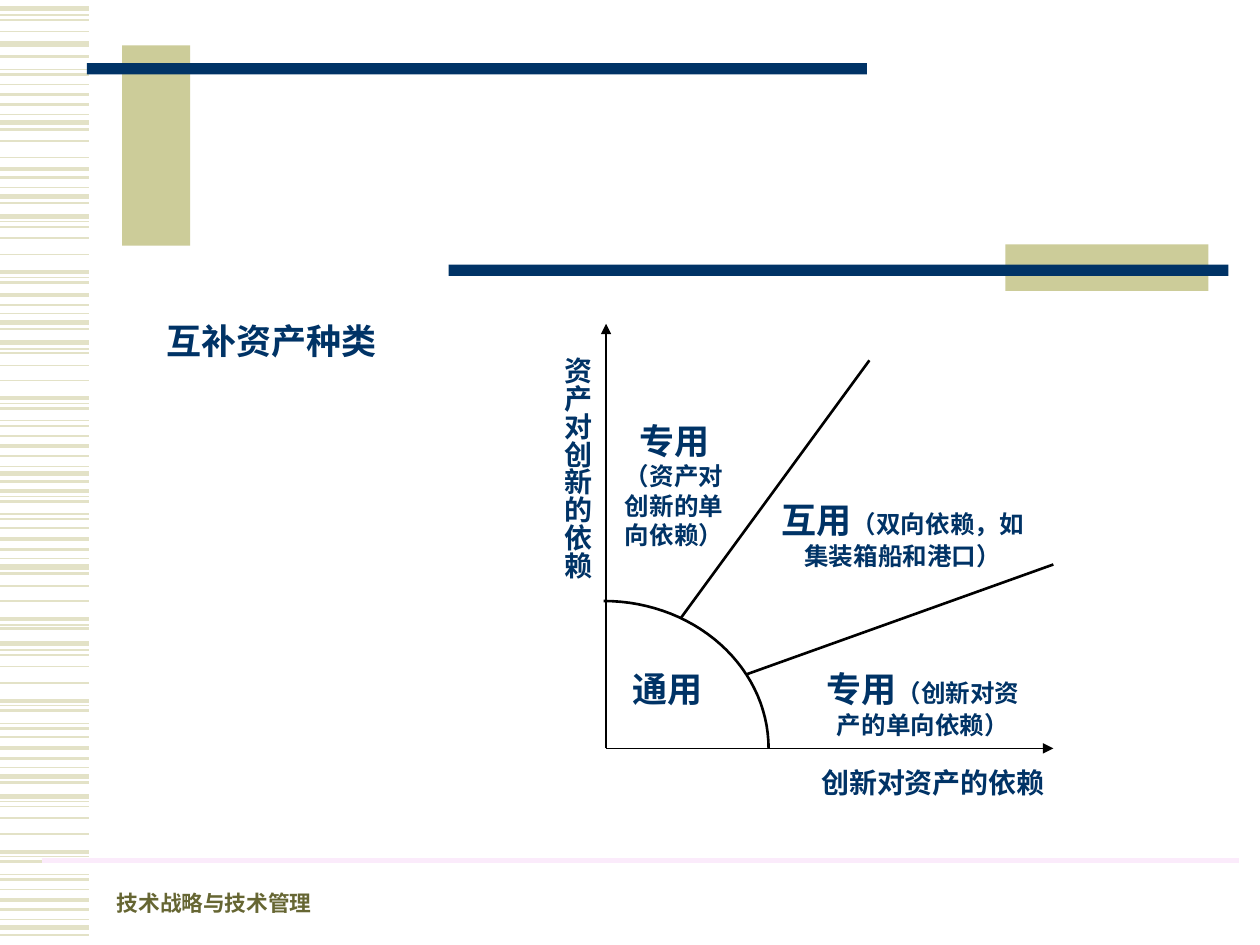
from dataclasses import dataclass
from math import cos, pi, sin

from lxml.etree import SubElement
from pptx import Presentation
from pptx.dml.color import RGBColor
from pptx.enum.shapes import MSO_CONNECTOR, MSO_SHAPE
from pptx.enum.text import MSO_ANCHOR, PP_ALIGN
from pptx.oxml.ns import qn
from pptx.util import Inches, Pt


@dataclass(frozen=True)
class Theme:
    font: str = "Times New Roman"
    navy: str = "003366"
    olive: str = "666633"
    khaki: str = "CCCC99"
    stripe: str = "E3E2C7"
    pink: str = "FBEBFB"
    black: str = "000000"
    white: str = "FFFFFF"
    heading: float = 20
    axis: float = 16
    detail: float = 14
    footer: float = 12.4


@dataclass(frozen=True)
class Box:
    left: float
    top: float
    width: float
    height: float

    def inner(self, left, top, width, height):
        return Box(self.left + left, self.top + top, width, height)

    def point(self, x, y):
        return self.left + x, self.top + y

    def lengths(self):
        return [Inches(v) for v in (self.left, self.top, self.width, self.height)]


THEME = Theme()
STRIPES = {
    0.75: (0.12, 0.55, 0.91, 1.49, 1.76, 2.2, 2.49, 2.77, 3.2, 3.34, 3.7, 3.94, 4.08,
           4.43, 4.96, 5.16, 5.6, 5.74, 6.09, 6.36, 6.8, 6.94, 7.3),
    1: (0.16, 0.25, 0.67, 1.12, 1.25, 1.8, 1.89, 2.02, 2.8, 2.9, 3.02, 3.46, 4.19,
        4.65, 4.77, 5.2, 5.29, 5.42, 5.85, 6.4, 6.49, 6.62, 7.06),
    1.5: (0.45, 0.59, 0.83, 1.03, 1.41, 1.61, 2.24, 2.42, 2.61, 3.24, 3.38, 3.62, 3.82,
          3.98, 4.12, 4.36, 4.55, 4.99, 5.64, 5.78, 6.02, 6.21, 6.84, 6.98, 7.22, 7.42),
    2.25: (0.75, 1.34, 2.16, 2.34, 3.16, 3.54, 3.9, 4.28, 4.91, 5.56, 5.94, 6.76, 7.14),
    3: (0.07, 0.35, 0.97, 1.56, 1.72, 2.56, 2.72, 3.76, 4.5, 5.11, 6.16, 6.32, 7.36),
}


def color(value):
    return RGBColor.from_string(value)


def add_line(page, start, end, tint, weight, arrow=False):
    ends = [Inches(v) for v in (*start, *end)]
    line = page.shapes.add_connector(MSO_CONNECTOR.STRAIGHT, *ends)
    line.line.color.rgb = color(tint)
    line.line.width = Pt(weight)
    if arrow:
        SubElement(line.line._get_or_add_ln(), qn("a:tailEnd"), type="triangle")
    SubElement(line._element.spPr, qn("a:effectLst"))


def add_block(page, box, tint, outlined=False):
    block = page.shapes.add_shape(MSO_SHAPE.RECTANGLE, *box.lengths())
    block.shadow.inherit = False
    block.fill.solid()
    block.fill.fore_color.rgb = color(tint)
    if outlined:
        block.line.color.rgb = color(tint)
        block.line.width = Pt(0.75)
    else:
        block.line.fill.background()
    return block


def write(shape, spans, tint=THEME.navy, align=PP_ALIGN.LEFT, before=0,
          anchor=MSO_ANCHOR.TOP):
    frame = shape.text_frame
    frame.word_wrap = True
    frame.vertical_anchor = anchor
    para = frame.paragraphs[0]
    para.alignment = align
    para.space_before = Pt(before)
    for text, size in spans:
        span = para.add_run()
        span.text = text
        span.font.name = THEME.font
        span.font.size = Pt(size)
        span.font.bold = True
        span.font.color.rgb = color(tint)


def add_text(page, box, spans, **style):
    write(page.shapes.add_textbox(*box.lengths()), spans, **style)


def add_stripes(page, box):
    for weight, heights in STRIPES.items():
        for y in heights:
            add_line(page, box.point(0, y), box.point(box.width, y), THEME.stripe, weight)


def add_header(page, box):
    add_block(page, box.inner(0.28, 0, 0.54, 1.59), THEME.khaki)
    add_block(page, box.inner(0, 0.14, 6.19, 0.09), THEME.navy)
    add_block(page, box.inner(7.29, 1.58, 1.61, 0.37), THEME.khaki)
    add_block(page, box.inner(2.87, 1.74, 6.19, 0.09), THEME.navy)


def add_footer(page, box):
    add_line(page, box.point(0, 0), box.point(box.width, 0), THEME.pink, 3)
    add_text(page, box.inner(0.5, 0.15, 2.6, 0.34), [("技术战略与技术管理", THEME.footer)],
             tint=THEME.olive, anchor=MSO_ANCHOR.BOTTOM)


def add_axis_label(page, box, text, vertical=False):
    label = add_block(page, box, THEME.white, outlined=True)
    write(label, [(text, THEME.axis)], align=PP_ALIGN.JUSTIFY)
    if vertical:
        frame = label.text_frame
        frame.margin_left = frame.margin_right = Inches(0.05)
        frame.margin_top = frame.margin_bottom = Inches(0.1)
        frame._txBody.bodyPr.set("vert", "eaVert")


def add_quarter_arc(page, box, steps=30):
    points = [(Inches(box.left + box.width * sin(step * pi / 2 / steps)),
               Inches(box.top + box.height * (1 - cos(step * pi / 2 / steps))))
              for step in range(steps + 1)]
    builder = page.shapes.build_freeform(*points[0])
    builder.add_line_segments(points[1:], close=False)
    arc = builder.convert_to_shape()
    arc.shadow.inherit = False
    arc.fill.background()
    arc.line.color.rgb = color(THEME.black)
    arc.line.width = Pt(1.5)


def add_asset_diagram(page, box):
    add_axis_label(page, box.inner(2.21, 3.46, 2.43, 0.4), "创新对资产的依赖")
    add_axis_label(page, box.inner(0, 0.16, 0.56, 2.05), "资产对创新的依赖", vertical=True)

    origin = box.point(0.6, 3.37)
    for end in (box.point(0.6, 0), box.point(box.width, 3.37)):
        add_line(page, origin, end, THEME.black, 1, arrow=True)
    add_quarter_arc(page, box.inner(0.58, 2.2, 1.31, 1.17))
    for start, end in (((1.19, 2.34), (2.69, 0.29)), ((1.72, 2.78), (4.15, 1.91))):
        add_line(page, box.point(*start), box.point(*end), THEME.black, 1.5)

    add_text(page, box.inner(0.71, 2.68, 1.02, 0.44), [("通用", THEME.heading)], before=12.5)
    zones = (
        ((0.63, 0.71, 1.02, 1.14), "专用", "（资产对创新的单向依赖）"),
        ((2.21, 2.68, 1.81, 0.67), "专用", "（创新对资产的单向依赖）"),
        ((1.89, 1.34, 2.13, 0.67), "互用", "（双向依赖，如集装箱船和港口）"),
    )
    for place, name, detail in zones:
        add_text(page, box.inner(*place), [(name, THEME.heading), (detail, THEME.detail)],
                 align=PP_ALIGN.CENTER, before=8.8)


def main():
    deck = Presentation()
    deck.slide_width, deck.slide_height = Inches(10), Inches(7.5)
    page = deck.slides.add_slide(deck.slide_layouts[6])
    add_stripes(page, Box(0, 0, 0.71, 7.5))
    add_header(page, Box(0.69, 0.36, 9.06, 1.95))
    add_footer(page, Box(0.33, 6.83, 9.5, 0.5))
    add_text(page, Box(1.22, 2.49, 2.68, 0.44), [("互补资产种类", THEME.heading)], before=12.5)
    add_asset_diagram(page, Box(4.21, 2.57, 4.15, 3.86))
    deck.save("out.pptx")


if __name__ == "__main__":
    main()
